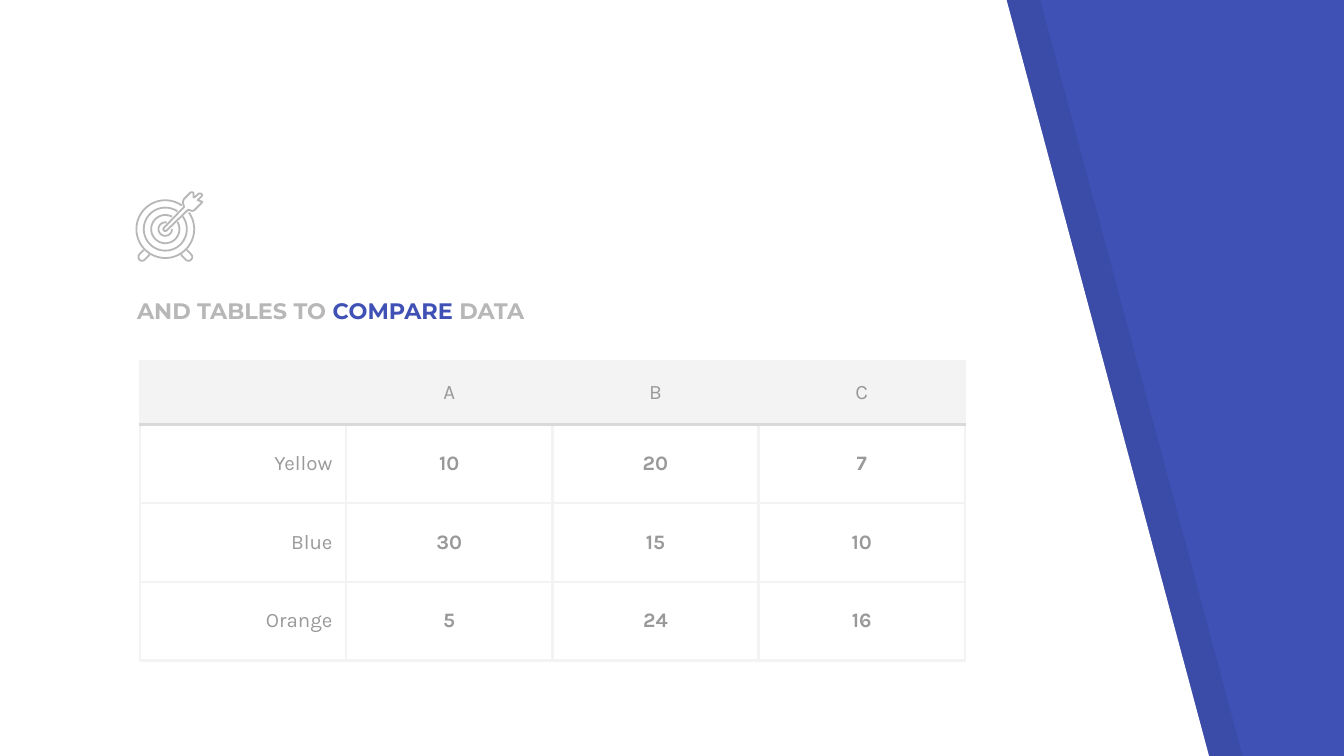
import math
from dataclasses import dataclass

from lxml import etree
from pptx import Presentation
from pptx import util as u
from pptx.dml.color import RGBColor
from pptx.enum import text
from pptx.oxml import ns

PX = 4572
COLORS = {
    "blue": "3F51B5",
    "white": "FFFFFF",
    "black": "000000",
    "outline": "B7B7B7",
    "label": "999999",
    "grid": "F3F3F3",
    "rule": "D9D9D9",
}
TITLE_FONT = {"name": "Montserrat", "size": u.Pt(12), "bold": True}
CELL_FONT = {"name": "Karla", "size": u.Pt(11)}
TITLE_FRAME = {
    "word_wrap": True,
    "auto_size": text.MSO_AUTO_SIZE.NONE,
    "vertical_anchor": text.MSO_ANCHOR.BOTTOM,
    "margin_left": 20 * PX,
    "margin_right": 20 * PX,
    "margin_top": 20 * PX,
    "margin_bottom": 20 * PX,
}
CELL_FRAME = {
    "vertical_anchor": text.MSO_ANCHOR.MIDDLE,
    "margin_left": 20 * PX,
    "margin_right": 20 * PX,
    "margin_top": 14 * PX,
    "margin_bottom": 14 * PX,
}
Point = tuple[float, float]


@dataclass
class Panel:
    left: int
    color: str
    opacity: int


@dataclass
class Ring:
    radius: int
    gap_start: int
    gap_end: int


PANELS = [Panel(50, "black", 7), Panel(0, "white", 100)]
PANEL_OUTLINE = [(0, -2), (0, 1128), (1800, 1128), (1498, 0)]
TARGET = (246, 341)
RINGS = [Ring(43, -55, -35), Ring(32, -56, -36), Ring(21, -62, -31), Ring(10, -77, 0)]
FOOT = [(214, 372), (208, 378), (206, 381), (206, 384), (208, 387),
        (210, 388), (213, 388), (215, 387), (222, 380), (222, 378)]
DART = [(300, 300), (294, 298), (300, 292), (301, 290), (299, 288),
        (296, 288), (289, 294), (288, 294), (288, 287), (286, 286),
        (284, 286), (274, 296), (273, 298), (272, 301), (274, 308),
        (244, 339), (243, 341), (244, 343), (246, 344), (248, 343),
        (280, 312), (286, 314), (289, 313), (300, 302), (301, 300)]
TITLE = [("AND TABLES TO ", "outline"), ("COMPARE", "blue"), (" DATA", "outline")]
ROWS = [
    ["", "A", "B", "C"],
    ["Yellow", "10", "20", "7"],
    ["Blue", "30", "15", "10"],
    ["Orange", "5", "24", "16"],
]
ROW_HEIGHTS = [95, 117, 117, 117]
COL_WIDTH = 307


def rgb(name: str) -> RGBColor:
    return RGBColor.from_string(COLORS[name])


def apply(target, values: dict) -> None:
    for key, value in values.items():
        setattr(target, key, value)


def add_run(p, words: str, color: str, font: dict) -> None:
    r = p.add_run()
    r.text = words
    apply(r.font, font)
    r.font.color.rgb = rgb(color)


def add_outline(s, points: list[Point], close: bool):
    start, *rest = [(round(x * PX), round(y * PX)) for x, y in points]
    builder = s.shapes.build_freeform(*start, scale=1.0)
    builder.add_line_segments(rest, close=close)
    sp = builder.convert_to_shape()
    sp.shadow.inherit = False
    return sp


def add_panel(s, panel: Panel) -> None:
    sp = add_outline(s, [(panel.left + x, y) for x, y in PANEL_OUTLINE], True)
    sp.fill.solid()
    sp.fill.fore_color.rgb = rgb(panel.color)
    sp.line.fill.background()
    if panel.opacity < 100:
        color = sp.element.spPr.find(ns.qn("a:solidFill"))[0]
        etree.SubElement(color, ns.qn("a:alpha"), val=str(panel.opacity * 1000))


def add_stroke(s, points: list[Point], close: bool = False) -> None:
    sp = add_outline(s, points, close)
    sp.fill.background()
    sp.line.color.rgb = rgb("outline")
    sp.line.width = u.Pt(0.96)


def ring_points(ring: Ring, steps: int = 72) -> list[Point]:
    sweep = 360 + ring.gap_start - ring.gap_end
    angles = [math.radians(ring.gap_end + sweep * i / steps) for i in range(steps + 1)]
    x, y = TARGET
    return [(x + ring.radius * math.cos(a), y + ring.radius * math.sin(a)) for a in angles]


def add_icon(s) -> None:
    for ring in RINGS:
        add_stroke(s, ring_points(ring))
    add_stroke(s, FOOT)
    add_stroke(s, [(2 * TARGET[0] - x, y) for x, y in FOOT])
    add_stroke(s, DART, True)


def add_title(s) -> None:
    sp = s.shapes.title
    s.shapes.element.append(sp.element)
    apply(sp, {"left": 184 * PX, "top": 412 * PX, "width": 1050 * PX, "height": 90 * PX})
    tf = sp.text_frame
    apply(tf, TITLE_FRAME)
    p = tf.paragraphs[0]
    p.alignment = text.PP_ALIGN.LEFT
    for words, color in TITLE:
        add_run(p, words, color, TITLE_FONT)


def set_borders(cell, sides: dict[str, str]) -> None:
    props = cell._tc.get_or_add_tcPr()
    for i, (side, color) in enumerate(sides.items()):
        ln = etree.Element(ns.qn(f"a:ln{side}"), w=str(u.Pt(1.5)))
        fill = etree.SubElement(ln, ns.qn("a:solidFill"))
        etree.SubElement(fill, ns.qn("a:srgbClr"), val=COLORS[color])
        props.insert(i, ln)


def fill_cell(cell, words: str, row: int, col: int) -> None:
    apply(cell, CELL_FRAME)
    if row == 0:
        cell.fill.solid()
        cell.fill.fore_color.rgb = rgb("grid")
    else:
        cell.fill.background()
    set_borders(cell, {
        "L": "grid",
        "R": "grid",
        "T": "rule" if row == 1 else "grid",
        "B": "rule" if row == 0 else "grid",
    })
    p = cell.text_frame.paragraphs[0]
    p.alignment = text.PP_ALIGN.CENTER if col else text.PP_ALIGN.RIGHT
    add_run(p, words, "label", {**CELL_FONT, "bold": row > 0 and col > 0})


def add_data_table(s) -> None:
    n = len(ROWS[0])
    table = s.shapes.add_table(len(ROWS), n, 208 * PX, 537 * PX,
                               n * COL_WIDTH * PX, sum(ROW_HEIGHTS) * PX).table
    apply(table, {"first_row": False, "horz_banding": False})
    for column in table.columns:
        column.width = COL_WIDTH * PX
    for i, (height, values) in enumerate(zip(ROW_HEIGHTS, ROWS)):
        table.rows[i].height = height * PX
        for j, words in enumerate(values):
            fill_cell(table.cell(i, j), words, i, j)


def main() -> None:
    prs = Presentation()
    apply(prs, {"slide_width": 2000 * PX, "slide_height": 1125 * PX})
    s = prs.slides.add_slide(prs.slide_layouts[5])
    s.background.fill.solid()
    s.background.fill.fore_color.rgb = rgb("blue")
    for panel in PANELS:
        add_panel(s, panel)
    add_title(s)
    add_data_table(s)
    add_icon(s)
    prs.save("out.pptx")


if __name__ == "__main__":
    main()
